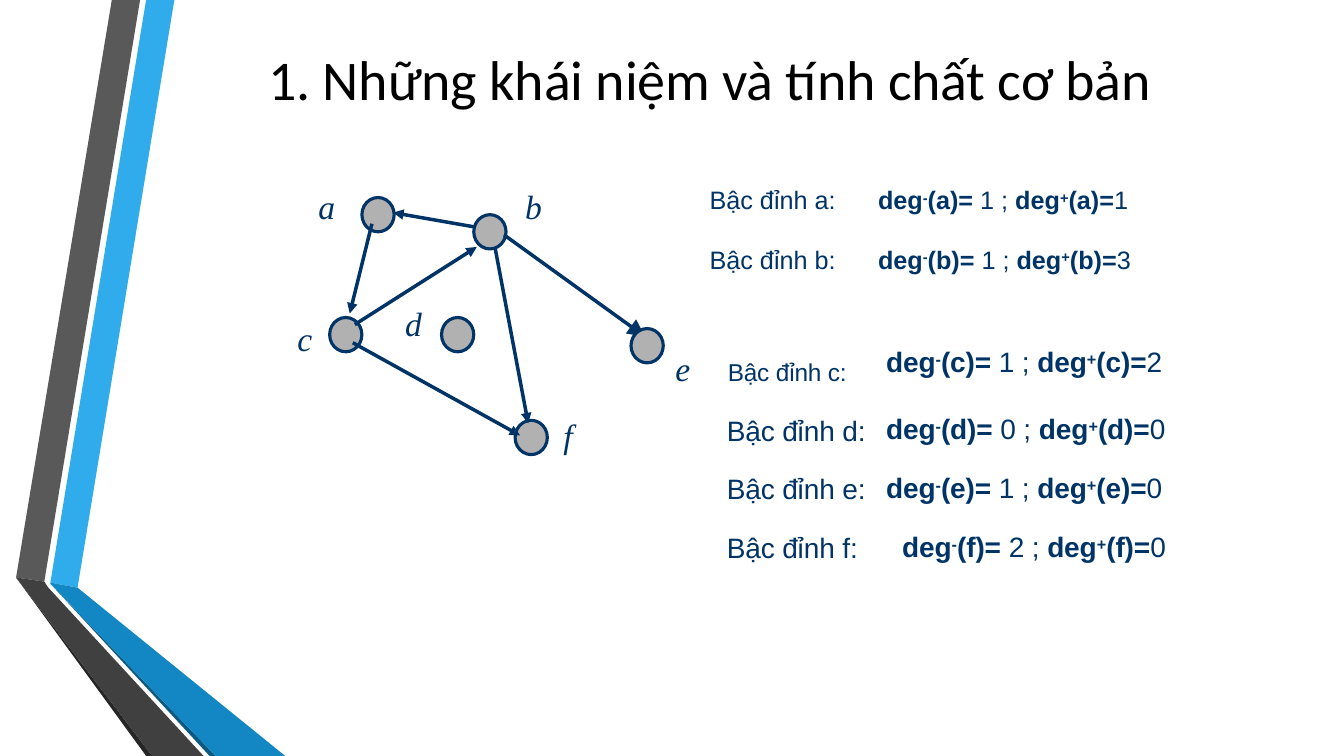
"""Build a slide on vertex degrees in a directed graph, placed on a grid of 0.1 inch cells."""
from dataclasses import dataclass

from lxml import etree
from pptx import Presentation
from pptx import util as u
from pptx.dml.color import RGBColor
from pptx.enum import shapes, text
from pptx.oxml import ns

CELL = u.Inches(0.1)
COLUMNS, ROWS = 133.33, 75
NAVY, GREY, BLACK = "003366", "B1B1B1", "000000"
NODE_WIDTH, NODE_HEIGHT = 3.2, 3.4
SANS, SERIF = "Arial", "Times New Roman"


@dataclass(frozen=True)
class Ribbon:
    color: str
    points: tuple[tuple[float, float], ...]


@dataclass(frozen=True)
class Node:
    column: float
    row: float


@dataclass(frozen=True)
class Edge:
    start: tuple[float, float]
    end: tuple[float, float]
    head: str = "med"


@dataclass(frozen=True)
class Letter:
    name: str
    column: float
    row: float


@dataclass(frozen=True)
class Run:
    text: str
    size: float
    font: str = SANS
    color: str = NAVY
    bold: bool = False
    italic: bool = False
    baseline: int = 0
    spacing: float = 0


@dataclass(frozen=True)
class Degree:
    vertex: str
    incoming: int
    outgoing: int
    size: float
    column: float
    row: float
    label_column: float
    label_row: float


RIBBONS = (
    Ribbon("30ACEC", ((5, 57.8), (7.7, 58.3), (17.3, 0), (14.5, 0))),
    Ribbon("595959", ((13.9, 0), (11.1, 0), (1.6, 57.3), (4.4, 57.7))),
    Ribbon("262626", ((1.6, 57.3), (14.5, 75), (15.1, 75))),
    Ribbon("0C5A82", ((5, 57.9), (20.8, 75), (21.4, 75))),
    Ribbon("1287C3", ((5, 57.9), (21.4, 75), (28.3, 75), (7.7, 58.3), (5, 57.8))),
    Ribbon("404040", ((20.2, 75), (4.8, 58.3), (4.4, 57.7), (1.6, 57.3), (15.1, 75))),
)
GRAPH = (
    Node(35.9, 19.6), Node(32.7, 31.5), Node(43.8, 31.5), Node(51.1, 41.7),
    Edge((36.9, 22.2), (34.7, 31.1)),
    Edge((35, 34), (51.6, 43.2)),
    Node(47, 21.3),
    Edge((47, 22.5), (39, 21.1)),
    Edge((35.2, 32.2), (47.3, 24.5)),
    Edge((49.1, 24.5), (52.4, 42)),
    Edge((50, 23.3), (64, 33.4), "lg"),
    Node(62.6, 32.6),
)
LETTERS = (
    Letter("a", 31.5, 18.3), Letter("b", 52, 18.3), Letter("d", 40.1, 30),
    Letter("c", 29.4, 31.4), Letter("f", 55.8, 41.1),
)
DEGREES = (
    Degree("a", 1, 1, 18, 86.7, 18.2, 70.3, 18.2),
    Degree("b", 1, 3, 18, 86.7, 24.1, 70.3, 24.1),
    Degree("c", 1, 2, 20, 87.5, 34.1, 66.9, 33.6),
    Degree("d", 0, 0, 20, 87.5, 40.7, 72, 40.9),
    Degree("e", 1, 0, 20, 87.5, 46.6, 72, 46.7),
    Degree("f", 2, 0, 20, 89.1, 52.4, 72, 52.5),
)


def cells(count: float) -> u.Emu:
    """Convert a number of grid cells to a length."""
    return u.Emu(round(count * CELL))


def color(value: str) -> RGBColor:
    """Turn a hex string into a colour."""
    return RGBColor.from_string(value)


def add_child(parent, tag: str, **attributes: str):
    """Append a DrawingML element with its attributes."""
    return etree.SubElement(parent, ns.qn(tag), attributes)


def add_text(slide, runs: list[Run], column: float, row: float, width: float, height: float,
             *, inset: float = 0.1, centered: bool = False, tab: float | None = None) -> None:
    """Add a one-paragraph text box made of formatted runs."""
    box = slide.shapes.add_textbox(cells(column), cells(row), cells(width), cells(height))
    frame = box.text_frame
    frame.word_wrap = True
    frame.margin_left, frame.margin_top = cells(inset), cells(0.1)
    frame.margin_right = frame.margin_bottom = 0
    frame.vertical_anchor = text.MSO_ANCHOR.MIDDLE if centered else text.MSO_ANCHOR.TOP
    paragraph = frame.paragraphs[0]
    paragraph.alignment = text.PP_ALIGN.CENTER if centered else text.PP_ALIGN.LEFT
    paragraph.space_before = u.Pt(1)
    if tab is not None:
        stops = add_child(paragraph._p.get_or_add_pPr(), "a:tabLst")
        add_child(stops, "a:tab", pos=str(cells(tab)), algn="l")
    for part in runs:
        run = paragraph.add_run()
        run.text = part.text
        run.font.size, run.font.name = u.Pt(part.size), part.font
        run.font.bold, run.font.italic = part.bold, part.italic
        run.font.color.rgb = color(part.color)
        properties = run._r.get_or_add_rPr()
        properties.set("baseline", str(part.baseline * 1000))
        properties.set("spc", str(round(part.spacing * 100)))


def draw_ribbon(slide, ribbon: Ribbon) -> None:
    """Draw one filled polygon of the side decoration."""
    first, *others = [(cells(x), cells(y)) for x, y in ribbon.points]
    builder = slide.shapes.build_freeform(*first)
    builder.add_line_segments(others, close=True)
    shape = builder.convert_to_shape()
    shape.shadow.inherit = False
    shape.fill.solid()
    shape.fill.fore_color.rgb = color(ribbon.color)
    shape.line.fill.background()


def draw_node(slide, node: Node) -> None:
    """Draw a vertex of the graph."""
    shape = slide.shapes.add_shape(shapes.MSO_SHAPE.OVAL, cells(node.column), cells(node.row),
                                   cells(NODE_WIDTH), cells(NODE_HEIGHT))
    shape.shadow.inherit = False
    shape.fill.solid()
    shape.fill.fore_color.rgb = color(GREY)
    shape.line.color.rgb = color(NAVY)
    shape.line.width = u.Pt(2.25)


def draw_edge(slide, edge: Edge) -> None:
    """Draw a directed edge of the graph."""
    ends = [cells(value) for value in edge.start + edge.end]
    connector = slide.shapes.add_connector(shapes.MSO_CONNECTOR.STRAIGHT, *ends)
    connector.line.color.rgb = color(NAVY)
    connector.line.width = u.Pt(2.5)
    add_child(connector.line._get_or_add_ln(), "a:tailEnd", type="triangle", w=edge.head, len=edge.head)
    add_child(connector._element.spPr, "a:effectLst")


def draw_degree(slide, degree: Degree) -> None:
    """Write the label and the in- and out-degree of a vertex."""
    label = f"Bậc đỉnh {degree.vertex}:"
    spacing = -0.1 if degree.size == 20 else 0
    if degree.vertex == "c":
        runs = [Run("e\t", 24, SERIF, italic=True), Run(label, 30, baseline=1, spacing=-0.1)]
        add_text(slide, runs, degree.label_column, degree.label_row, 19, 4.3, tab=5.2)
    else:
        runs = [Run(label, degree.size, spacing=spacing)]
        add_text(slide, runs, degree.label_column, degree.label_row, 14.5, 3.6)
    formula = []
    for sign, value in (("-", f"{degree.incoming} ; "), ("+", f"{degree.outgoing}")):
        gap = " " if sign == "-" else ""
        formula += [
            Run("deg", degree.size, bold=True, spacing=spacing),
            Run(sign, degree.size, bold=True, baseline=25, spacing=spacing),
            Run(f"({degree.vertex})={gap}", degree.size, bold=True, spacing=spacing),
            Run(value, degree.size, spacing=spacing),
        ]
    add_text(slide, formula, degree.column, degree.row, 29.5, 3.6, inset=0.4)


def main() -> None:
    """Build and save the presentation."""
    presentation = Presentation()
    presentation.slide_width, presentation.slide_height = cells(COLUMNS), cells(ROWS)
    slide = presentation.slides.add_slide(presentation.slide_layouts[6])
    for ribbon in RIBBONS:
        draw_ribbon(slide, ribbon)
    title = Run("1. Những khái niệm và tính chất cơ bản", 40, "Calibri", BLACK, spacing=-0.1)
    add_text(slide, [title], 5, 4.2, 130.7, 6.9, centered=True)
    for item in GRAPH:
        (draw_node if isinstance(item, Node) else draw_edge)(slide, item)
    for letter in LETTERS:
        run = Run(letter.name, 24, SERIF, italic=True)
        add_text(slide, [run], letter.column, letter.row, 2, 4.3)
    for degree in DEGREES:
        draw_degree(slide, degree)
    presentation.save("out.pptx")


if __name__ == "__main__":
    main()
